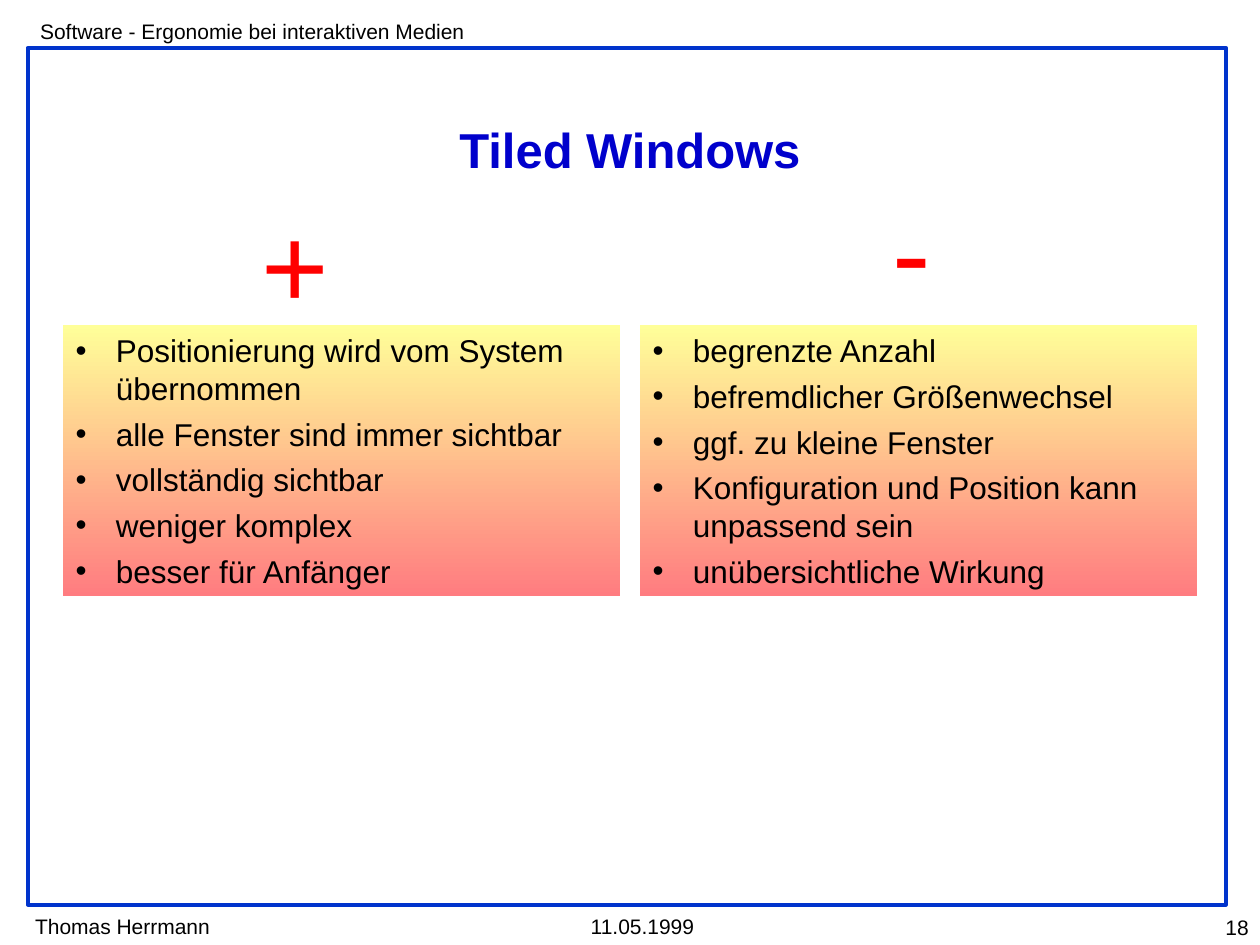
"""Build the slide weighing advantages and drawbacks of tiled windows."""
from dataclasses import dataclass

from lxml import etree
from pptx import Presentation
from pptx.dml.color import RGBColor
from pptx.enum.shapes import MSO_SHAPE
from pptx.enum.text import MSO_ANCHOR, MSO_AUTO_SIZE, PP_ALIGN
from pptx.oxml.ns import qn
from pptx.util import Pt

RECTANGLE = MSO_SHAPE.RECTANGLE
TOP, MIDDLE = MSO_ANCHOR.TOP, MSO_ANCHOR.MIDDLE
LEFT, CENTER, RIGHT = PP_ALIGN.LEFT, PP_ALIGN.CENTER, PP_ALIGN.RIGHT
NO_AUTOFIT = MSO_AUTO_SIZE.NONE

BLACK = RGBColor(0x00, 0x00, 0x00)
RED = RGBColor(0xFF, 0x00, 0x00)
TITLE_BLUE = RGBColor(0x00, 0x00, 0xCC)
FRAME_BLUE = RGBColor(0x00, 0x33, 0xCC)
YELLOW = RGBColor(0xFF, 0xFF, 0x99)
SALMON = RGBColor(0xFF, 0x7C, 0x80)

FONT = "Arial"
TWO_CONTENT_LAYOUT = 3
BULLET_INDENT = 23


@dataclass(frozen=True)
class Area:
    left: float
    top: float
    width: float
    height: float


@dataclass(frozen=True)
class Label:
    text: str
    area: Area
    size: float = 12
    color: RGBColor = BLACK
    align: PP_ALIGN = LEFT
    anchor: MSO_ANCHOR = TOP
    margins: tuple[float, float] = (7.2, 3.6)


@dataclass(frozen=True)
class Panel:
    placeholder: int
    left: float
    items: tuple[str, ...]


def sign(text: str, area: Area) -> Label:
    return Label(text, area, 66, RED, CENTER, MIDDLE, (0, 0))


FRAME = Area(15.84, 27.36, 684.72, 489.6)
TITLE_AREA = Area(36, 64.8, 648, 40.32)
LABELS = (
    Label("Thomas Herrmann", Area(12.96, 518.4, 114.48, 21.6)),
    Label("Software - Ergonomie bei interaktiven Medien", Area(15.84, 7.2, 266.4, 21.6)),
    Label("11.05.1999", Area(330.48, 518.4, 74.16, 21.6)),
    Label("18", Area(651.6, 519.12, 69.12, 21.6), align=RIGHT),
    sign("+", Area(149.04, 110.16, 38.88, 79.2)),
    sign("-", Area(509.76, 102.24, 22.32, 79.2)),
)
PANEL_TOP, PANEL_WIDTH, PANEL_HEIGHT = 185.76, 318.24, 154.8
PANELS = (
    Panel(1, 36, (
        "Positionierung wird vom System übernommen",
        "alle Fenster sind immer sichtbar",
        "vollständig sichtbar",
        "weniger komplex",
        "besser für Anfänger",
    )),
    Panel(2, 365.76, (
        "begrenzte Anzahl",
        "befremdlicher Größenwechsel",
        "ggf. zu kleine Fenster",
        "Konfiguration und Position kann unpassend sein",
        "unübersichtliche Wirkung",
    )),
)


def place(shape, area: Area) -> None:
    shape.left, shape.top = Pt(area.left), Pt(area.top)
    shape.width, shape.height = Pt(area.width), Pt(area.height)


def style(para, size: float, color: RGBColor, align: PP_ALIGN, bold: bool = False) -> None:
    para.alignment = align
    para.font.name = FONT
    para.font.size = Pt(size)
    para.font.bold = bold
    para.font.color.rgb = color


def set_frame(frame, anchor: MSO_ANCHOR, margins: tuple[float, float], wrap: bool) -> None:
    frame.auto_size = NO_AUTOFIT
    frame.word_wrap = wrap
    frame.vertical_anchor = anchor
    frame.margin_left = frame.margin_right = Pt(margins[0])
    frame.margin_top = frame.margin_bottom = Pt(margins[1])


def add_bullet(para) -> None:
    properties = para._p.get_or_add_pPr()
    properties.set("marL", str(Pt(BULLET_INDENT)))
    properties.set("indent", str(-Pt(BULLET_INDENT)))
    bullet = etree.Element(qn("a:buChar"), char="•")
    properties.insert_element_before(bullet, "a:tabLst", "a:defRPr", "a:extLst")


def draw_frame(page) -> None:
    border = page.shapes.add_shape(RECTANGLE, 0, 0, 0, 0)
    place(border, FRAME)
    border.shadow.inherit = False
    border.fill.background()
    border.line.color.rgb = FRAME_BLUE
    border.line.width = Pt(2.25)


def draw_title(page) -> None:
    title = page.shapes.title
    place(title, TITLE_AREA)
    title.text = "Tiled Windows"
    set_frame(title.text_frame, MIDDLE, (7.2, 3.6), True)
    style(title.text_frame.paragraphs[0], 28, TITLE_BLUE, CENTER, bold=True)


def draw_label(page, label: Label) -> None:
    box = page.shapes.add_textbox(0, 0, 0, 0)
    place(box, label.area)
    box.text_frame.text = label.text
    set_frame(box.text_frame, label.anchor, label.margins, False)
    style(box.text_frame.paragraphs[0], label.size, label.color, label.align)


def draw_panel(page, panel: Panel) -> None:
    box = page.placeholders[panel.placeholder]
    place(box, Area(panel.left, PANEL_TOP, PANEL_WIDTH, PANEL_HEIGHT))
    box.fill.gradient()
    box.fill.gradient_angle = 270
    for stop, color in zip(box.fill.gradient_stops, (YELLOW, SALMON)):
        stop.color.rgb = color
    box.text_frame.text = "\n".join(panel.items)
    set_frame(box.text_frame, MIDDLE, (7.2, 3.6), True)
    for para in box.text_frame.paragraphs:
        style(para, 18, BLACK, LEFT)
        para.space_before = Pt(4.5)
        add_bullet(para)


def main() -> None:
    deck = Presentation()
    deck.slide_width, deck.slide_height = Pt(720), Pt(540)
    page = deck.slides.add_slide(deck.slide_layouts[TWO_CONTENT_LAYOUT])
    draw_frame(page)
    draw_title(page)
    for panel in PANELS:
        draw_panel(page, panel)
    for label in LABELS:
        draw_label(page, label)
    deck.save("out.pptx")


if __name__ == "__main__":
    main()
